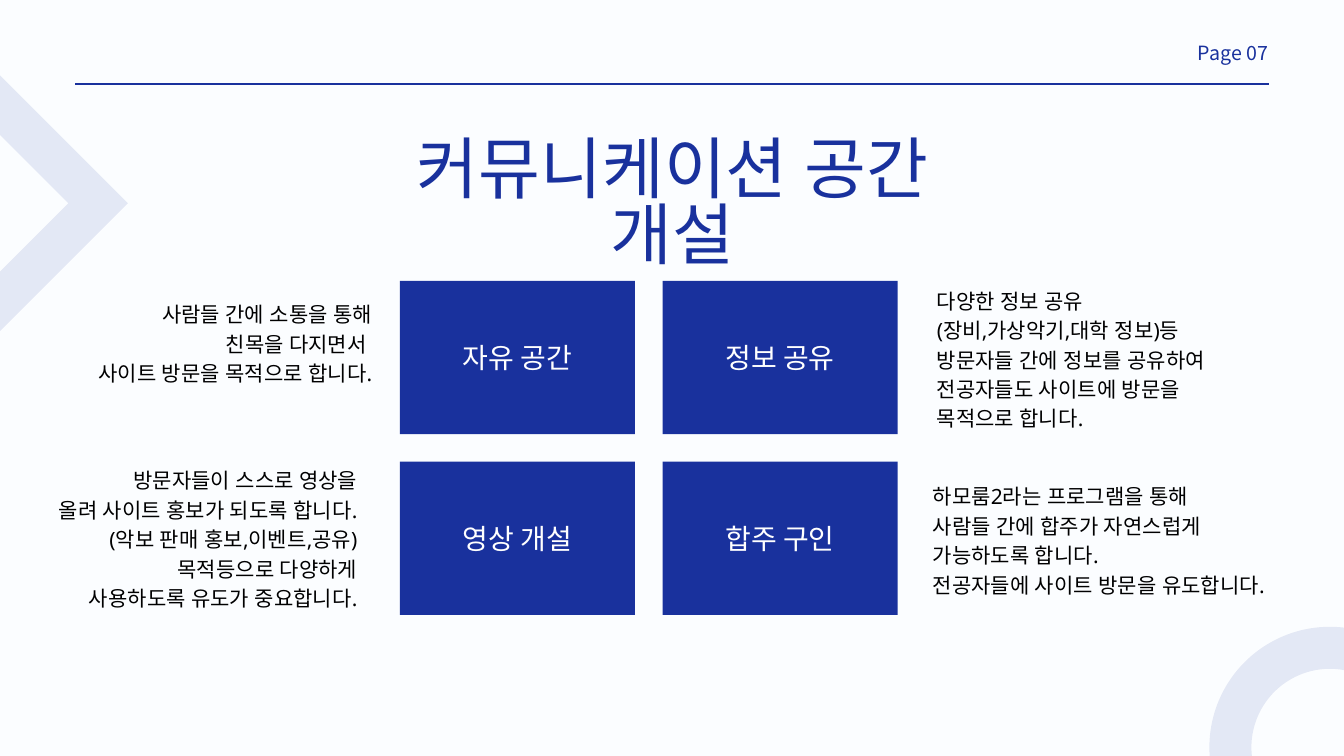
import pptx
import pptx.dml.color
import pptx.enum.shapes
import pptx.enum.text
import pptx.oxml.ns
import pptx.util
from lxml import etree
from pptx.util import Inches

BLUE = "19319D"
ALIGN = pptx.enum.text.PP_ALIGN
ANCHOR = pptx.enum.text.MSO_ANCHOR
SHAPE = pptx.enum.shapes.MSO_SHAPE
CARD_LEFT, CARD_TOP = 5.95, 4.18
CARD_WIDTH, CARD_HEIGHT = 3.5, 2.28
COLUMN_STEP, ROW_STEP = 3.91, 2.69
CARD_LABELS = [["자유 공간", "정보 공유"], ["영상 개설", "합주 구인"]]
DESCRIPTIONS = [
    (1.24, 4.43, 4.3, 1.29, ALIGN.RIGHT,
     ["사람들 간에 소통을 통해", "친목을 다지면서 ", "사이트 방문을 목적으로 합니다."]),
    (0.39, 6.9, 4.93, 2.17, ALIGN.RIGHT,
     ["방문자들이 스스로 영상을", "올려 사이트 홍보가 되도록 합니다.",
      "(악보 판매 홍보,이벤트,공유)", "목적등으로 다양하게", "사용하도록 유도가 중요합니다."]),
    (13.94, 4.23, 4.93, 2.17, ALIGN.LEFT,
     ["다양한 정보 공유", "(장비,가상악기,대학 정보)등", "방문자들 간에 정보를 공유하여",
      "전공자들도 사이트에 방문을", "목적으로 합니다."]),
    (13.88, 7.14, 5.15, 1.73, ALIGN.LEFT,
     ["하모룸2라는 프로그램을 통해", "사람들 간에 합주가 자연스럽게",
      "가능하도록 합니다.", "전공자들에 사이트 방문을 유도합니다."]),
]


def color(value):
    """Return the colour for a hex string."""
    return pptx.dml.color.RGBColor.from_string(value)


def write_text(shape, lines, *, size, font, fill, align, spacing, anchor=ANCHOR.TOP, bottom=0):
    """Write one paragraph per line into a shape and format it."""
    frame = shape.text_frame
    frame.word_wrap = True
    frame.auto_size = pptx.enum.text.MSO_AUTO_SIZE.NONE
    frame.vertical_anchor = anchor
    frame.margin_left = frame.margin_top = frame.margin_right = 0
    frame.margin_bottom = Inches(bottom)
    for index, line in enumerate(lines):
        paragraph = frame.add_paragraph() if index else frame.paragraphs[0]
        paragraph.alignment = align
        paragraph.line_spacing = pptx.util.Pt(spacing)
        paragraph.space_before = pptx.util.Pt(0)
        run = paragraph.add_run()
        run.text = line
        run.font.size = pptx.util.Pt(size)
        run.font.color.rgb = color(fill)
        run.font.name = font
        east_asian = etree.SubElement(run.font._element, pptx.oxml.ns.qn("a:ea"))
        east_asian.set("typeface", font)


def add_text(slide, lines, left, top, width, height, **text_format):
    """Add a text box."""
    box = slide.shapes.add_textbox(Inches(left), Inches(top), Inches(width), Inches(height))
    write_text(box, lines, **text_format)


def add_outline(slide, kind, left, top, size):
    """Add a large pale outline decoration."""
    shape = slide.shapes.add_shape(kind, Inches(left), Inches(top), Inches(size), Inches(size))
    shape.shadow.inherit = False
    shape.fill.background()
    shape.line.color.rgb = color(BLUE)
    shape.line.width = pptx.util.Pt(45)
    line_color = shape.line._ln.find(".//" + pptx.oxml.ns.qn("a:srgbClr"))
    etree.SubElement(line_color, pptx.oxml.ns.qn("a:alpha")).set("val", "10000")
    etree.SubElement(shape.line._ln, pptx.oxml.ns.qn("a:miter")).set("lim", "800000")


def add_rule(slide, left, right, top):
    """Add the horizontal header line."""
    rule = slide.shapes.add_connector(
        pptx.enum.shapes.MSO_CONNECTOR.STRAIGHT,
        Inches(left), Inches(top), Inches(right), Inches(top))
    rule.line.color.rgb = color(BLUE)
    rule.line.width = pptx.util.Pt(2.25)
    etree.SubElement(rule._element.spPr, pptx.oxml.ns.qn("a:effectLst"))


def add_card(slide, label, left, top):
    """Add a filled card with its label."""
    card = slide.shapes.add_shape(
        SHAPE.RECTANGLE, Inches(left), Inches(top), Inches(CARD_WIDTH), Inches(CARD_HEIGHT))
    card.shadow.inherit = False
    card.fill.solid()
    card.fill.fore_color.rgb = color(BLUE)
    card.line.fill.background()
    write_text(card, [label], size=30, font="Noto Sans CJK KR", fill="FFFFFF",
               align=ALIGN.CENTER, spacing=42, anchor=ANCHOR.MIDDLE, bottom=0.09)


def place_title(slide, text, left, top, width, height):
    """Move and format the title placeholder."""
    title = slide.shapes.title
    title.left, title.top = Inches(left), Inches(top)
    title.width, title.height = Inches(width), Inches(height)
    write_text(title, [text], size=72, font="Lato", fill=BLUE, align=ALIGN.CENTER, spacing=70.5)


def main():
    """Build and save the slide."""
    presentation = pptx.Presentation()
    presentation.slide_width = Inches(20)
    presentation.slide_height = Inches(11.25)
    slide = presentation.slides.add_slide(presentation.slide_layouts[5])
    slide.background.fill.solid()
    slide.background.fill.fore_color.rgb = color("FBFDFF")

    add_outline(slide, SHAPE.OVAL, 18.31, 9.64, 2.96)
    add_rule(slide, 1.12, 18.88, 1.25)
    add_outline(slide, SHAPE.DIAMOND, -1.47, 1.56, 2.93)
    place_title(slide, "커뮤니케이션 공간 개설", 5.42, 2.1, 9.18, 1.22)
    add_text(slide, ["Page 07"], 14, 0.52, 4.87, 0.42, size=21, font="Noto Sans CJK KR",
             fill=BLUE, align=ALIGN.RIGHT, spacing=32.1)
    for row, labels in enumerate(CARD_LABELS):
        for column, label in enumerate(labels):
            add_card(slide, label, CARD_LEFT + column * COLUMN_STEP, CARD_TOP + row * ROW_STEP)
    for left, top, width, height, align, lines in DESCRIPTIONS:
        add_text(slide, lines, left, top, width, height, size=22.5, font="Noto Sans",
                 fill="000000", align=align, spacing=31.5)
    presentation.save("out.pptx")


if __name__ == "__main__":
    main()
